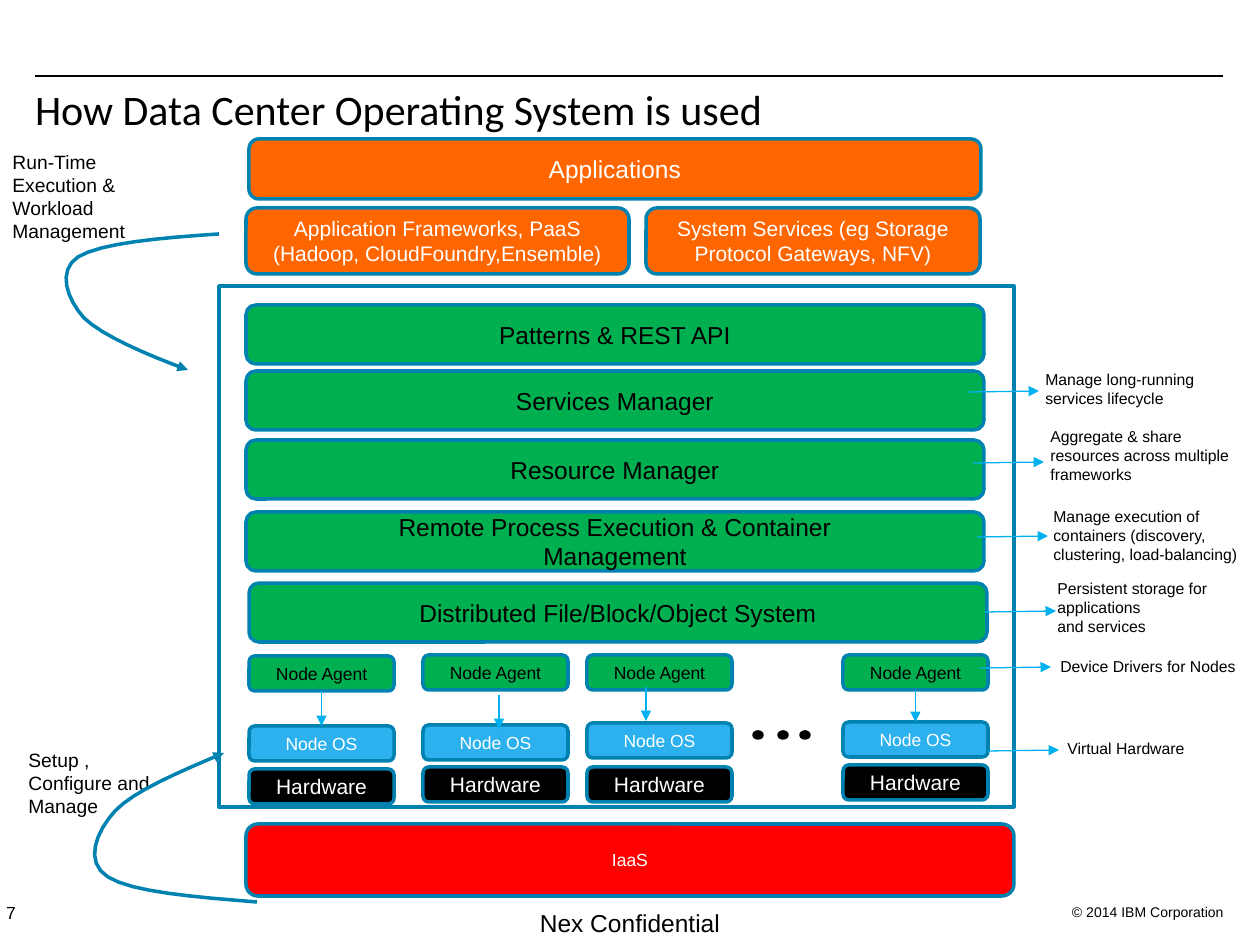
from pptx import Presentation
from pptx.dml.color import RGBColor
from pptx.enum.shapes import MSO_CONNECTOR, MSO_SHAPE
from pptx.enum.text import MSO_ANCHOR, MSO_AUTO_SIZE, PP_ALIGN
from pptx.oxml.ns import qn
from pptx.util import Pt
from lxml.etree import SubElement

PX = 914400 / 126
BLACK = RGBColor(0x00, 0x00, 0x00)
WHITE = RGBColor(0xFF, 0xFF, 0xFF)
ORANGE = RGBColor(0xFF, 0x66, 0x00)
GREEN = RGBColor(0x00, 0xB0, 0x50)
RED = RGBColor(0xFF, 0x00, 0x00)
SKY = RGBColor(0x2C, 0xB1, 0xEE)
BORDER = RGBColor(0x00, 0x82, 0xB0)
ARROW = RGBColor(0x00, 0xB1, 0xEF)

TITLE = "How Data Center Operating System is used"
LAYERS = [
    ("Applications", (249, 139, 732, 60), ORANGE, WHITE, 14),
    ("Application Frameworks, PaaS (Hadoop, CloudFoundry,Ensemble)",
     (246, 208, 383, 66), ORANGE, WHITE, 12),
    ("System Services (eg Storage Protocol Gateways, NFV)",
     (646, 208, 334, 66), ORANGE, WHITE, 12),
    ("IaaS", (246, 824, 768, 72), RED, WHITE, 10),
]
MANAGERS = [
    ("Patterns & REST API", 246, 305),
    ("Services Manager", 246, 371),
    ("Resource Manager", 246, 440),
    ("Remote Process Execution & Container\nManagement", 246, 512),
    ("Distributed File/Block/Object System", 249, 583),
]
MANAGER_SIZE = (738, 59)
NODE_PARTS = [
    ("Hardware", BLACK, WHITE, 12),
    ("Node OS", SKY, WHITE, 10),
    ("Node Agent", GREEN, BLACK, 10),
]
NODES = [
    (249, (769, 726, 656)),
    (423, (767, 725, 655)),
    (587, (767, 723, 655)),
    (843, (765, 722, 655)),
]
NODE_SIZE = (145, 35)
JOINED_NODES = (0, 3)
LOOSE_ARROWS = [(499, 695), (646, 687)]
LOOSE_ARROW_LENGTH = 34
FRAME = (219, 286, 795, 521)
DOT_LEFTS = (754, 779, 801)
NOTES = [
    ("Manage long-running services lifecycle", (1033, 364, 224, 50), (968, 392), True),
    ("Aggregate & share resources across multiple frameworks",
     (1038, 421, 222, 69), (973, 463), True),
    ("Manage execution of containers (discovery, clustering, load-balancing)",
     (1041, 501, 218, 69), (977, 537), True),
    ("Persistent storage for applications\nand services",
     (1045, 573, 215, 69), (985, 612), True),
    ("Device Drivers for Nodes", (1048, 651, 200, 32), (980, 668), False),
    ("Virtual Hardware", (1055, 733, 142, 32), (988, 751), False),
]
NOTE_ARROW = (71, -1)
ROLES = [
    ("Run-Time Execution & Workload Management", (0, 144, 171, 106)),
    ("Setup , Configure and Manage", (16, 742, 173, 82)),
]
CURVES = [
    [(219, 234), (160, 238), (101, 243), (78, 257), (57, 271), (67, 299),
     (84, 318), (103, 336), (145, 354), (188, 370)],
    [(257, 902), (194, 897), (132, 892), (108, 877), (84, 862), (96, 832),
     (115, 811), (134, 791), (179, 772), (224, 753)],
]
CURVE_STEPS = 8


def emu(*lengths):
    return [round(length * PX) for length in lengths]


def set_line(shape, color, width, arrow=False):
    shape.line.color.rgb = color
    shape.line.width = Pt(width)
    if arrow:
        SubElement(shape.line._get_or_add_ln(), qn("a:tailEnd"), type="triangle")


def write(frame, text, size, color=BLACK, align=PP_ALIGN.LEFT, font="Arial", **formats):
    for name, value in {"word_wrap": True, **formats}.items():
        setattr(frame, name, value)
    for index, line in enumerate(text.split("\n")):
        para = frame.add_paragraph() if index else frame.paragraphs[0]
        para.alignment = align
        span = para.add_run()
        span.text = line
        for name, value in {"name": font, "size": Pt(size)}.items():
            setattr(span.font, name, value)
        span.font.color.rgb = color


def add_label(page, text, area, size, **formats):
    box = page.shapes.add_textbox(*emu(*area))
    write(box.text_frame, text, size, **formats)


def add_outline(page, kind, area, fill, line):
    shape = page.shapes.add_shape(kind, *emu(*area))
    shape.shadow.inherit = False
    if fill is None:
        shape.fill.background()
    else:
        shape.fill.solid()
        shape.fill.fore_color.rgb = fill
    set_line(shape, line, 2)
    return shape


def add_block(page, text, area, fill, color, size):
    block = add_outline(page, MSO_SHAPE.ROUNDED_RECTANGLE, area, fill, BORDER)
    write(block.text_frame, text, size, color, PP_ALIGN.CENTER,
          vertical_anchor=MSO_ANCHOR.MIDDLE)
    return block


def add_line(page, start, end, color=ARROW, arrow=True):
    line = page.shapes.add_connector(MSO_CONNECTOR.STRAIGHT, *emu(*start, *end))
    set_line(line, color, 0.75, arrow)
    SubElement(line._element.spPr, qn("a:effectLst"))
    return line


def bezier(points, t):
    weights = ((1 - t) ** 3, 3 * t * (1 - t) ** 2, 3 * t * t * (1 - t), t ** 3)
    return tuple(sum(w * p[axis] for w, p in zip(weights, points)) for axis in (0, 1))


def add_curve(page, points):
    track = [bezier(points[first:first + 4], step / CURVE_STEPS)
             for first in range(0, len(points) - 1, 3)
             for step in range(1, CURVE_STEPS + 1)]
    builder = page.shapes.build_freeform(*emu(*points[0]), scale=1.0)
    builder.add_line_segments([emu(*point) for point in track], close=False)
    curve = builder.convert_to_shape()
    curve.shadow.inherit = False
    curve.fill.background()
    set_line(curve, BORDER, 2, arrow=True)


def main():
    deck = Presentation()
    deck.slide_width, deck.slide_height = emu(1260, 945)
    page = deck.slides.add_slide(deck.slide_layouts[5])
    title = page.shapes.title
    title.left, title.top, title.width, title.height = emu(35, 89, 1225, 46)
    write(title.text_frame, TITLE, 24, font="Calibri", vertical_anchor=MSO_ANCHOR.TOP,
          auto_size=MSO_AUTO_SIZE.NONE, margin_left=0, margin_top=0, margin_bottom=0)
    title.text_frame.paragraphs[0].line_spacing = 0.9

    add_line(page, (35, 76), (1223, 76), BLACK, arrow=False)
    small = dict(word_wrap=False, vertical_anchor=MSO_ANCHOR.MIDDLE, margin_left=0,
                 margin_right=0, margin_top=0, margin_bottom=0)
    add_label(page, "© 2014 IBM Corporation", (1072, 903, 152, 17), 8,
              align=PP_ALIGN.RIGHT, **small)
    add_label(page, "7", (6, 902, 79, 21), 10, **small)
    add_label(page, "Nex Confidential", (0, 902, 1260, 43), 14, align=PP_ALIGN.CENTER)

    for layer in LAYERS:
        add_block(page, *layer)
    for text, left, top in MANAGERS:
        add_block(page, text, (left, top, *MANAGER_SIZE), GREEN, BLACK, 14)
    for index, (left, tops) in enumerate(NODES):
        hardware, system, agent = [
            add_block(page, text, (left, top, *NODE_SIZE), fill, color, size)
            for (text, fill, color, size), top in zip(NODE_PARTS, tops)]
        if index in JOINED_NODES:
            link = add_line(page, (left, tops[2]), (left, tops[1]))
            link.begin_connect(agent, 2)
            link.end_connect(system, 0)
    for x, y in LOOSE_ARROWS:
        add_line(page, (x, y), (x, y + LOOSE_ARROW_LENGTH))
    for left in DOT_LEFTS:
        add_outline(page, MSO_SHAPE.OVAL, (left, 732, 8, 6), BLACK, BLACK)
    add_outline(page, MSO_SHAPE.RECTANGLE, FRAME, None, BORDER)

    for text, area, (x, y), wrap in NOTES:
        add_label(page, text, area, 9, word_wrap=wrap)
        add_line(page, (x, y), (x + NOTE_ARROW[0], y + NOTE_ARROW[1]))
    for text, area in ROLES:
        add_label(page, text, area, 11)
    for points in CURVES:
        add_curve(page, points)
    deck.save("out.pptx")


if __name__ == "__main__":
    main()
